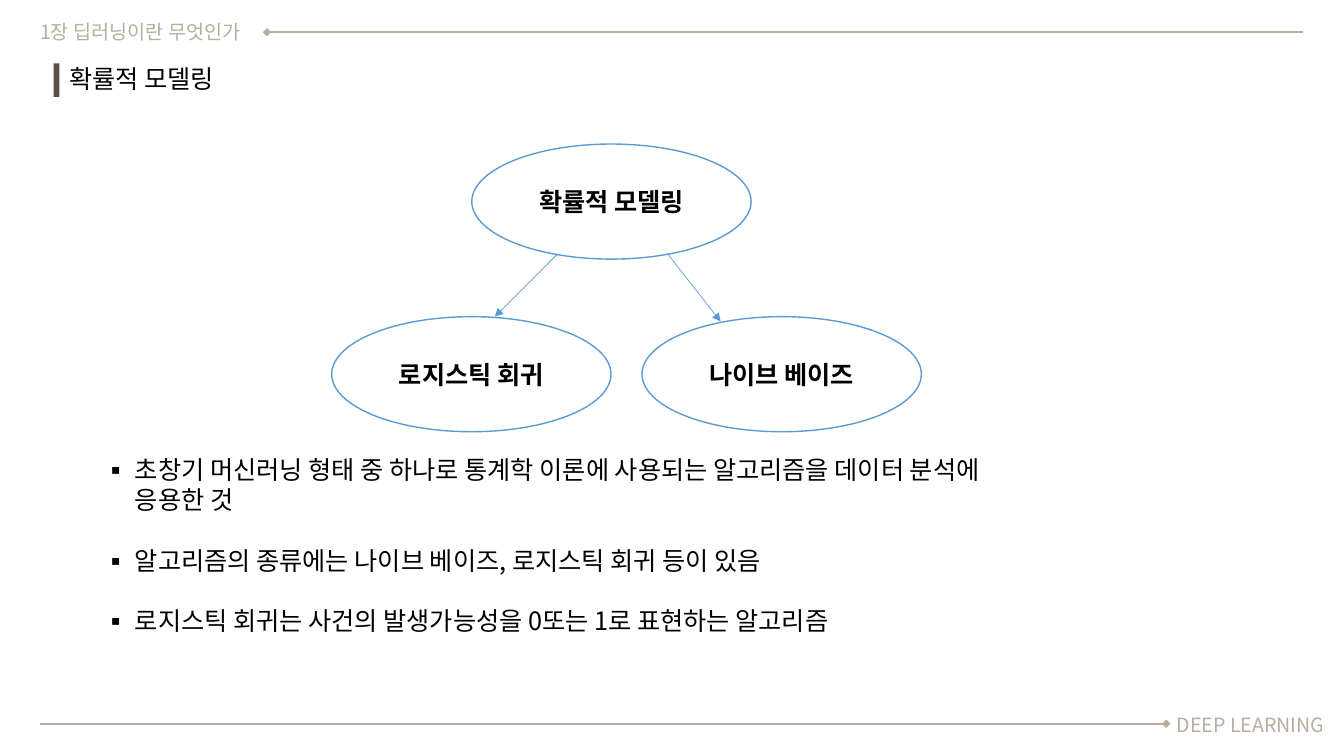
from pptx import Presentation
from pptx.dml.color import RGBColor
from pptx.enum.shapes import MSO_CONNECTOR, MSO_SHAPE
from pptx.enum.text import MSO_ANCHOR, MSO_AUTO_SIZE, PP_ALIGN
from pptx.oxml.ns import qn
from pptx.util import Cm, Pt
from lxml.etree import SubElement

FONT = "Noto Sans CJK KR"
COLORS = {
    "beige": "B7AE9D",
    "olive": "575141",
    "blue": "5B9BD5",
    "black": "000000",
    "white": "FFFFFF",
}
OVAL_WIDTH, OVAL_HEIGHT = 7.04, 2.9
BULLET_INDENT = 0.79
BULLETS = [
    "초창기 머신러닝 형태 중 하나로 통계학 이론에 사용되는 알고리즘을 데이터 분석에 응용한 것",
    "알고리즘의 종류에는 나이브 베이즈, 로지스틱 회귀 등이 있음",
    "로지스틱 회귀는 사건의 발생가능성을 0또는 1로 표현하는 알고리즘",
]


def color(name):
    return RGBColor.from_string(COLORS[name])


def write(para, text, size=18, ink="black", bold=False, align=PP_ALIGN.LEFT):
    para.alignment = align
    span = para.add_run()
    span.text = text
    span.font.name = FONT
    span.font.size = Pt(size)
    span.font.bold = bold
    span.font.color.rgb = color(ink)
    SubElement(span.font._element, qn("a:ea"), typeface=FONT)


def add_text(shapes, left, top, width, height, text, **style):
    box = shapes.add_textbox(Cm(left), Cm(top), Cm(width), Cm(height))
    frame = box.text_frame
    frame.word_wrap = False
    frame.auto_size = MSO_AUTO_SIZE.SHAPE_TO_FIT_TEXT
    write(frame.paragraphs[0], text, **style)


def add_shape(shapes, kind, left, top, width, height, fill, outline=None):
    shape = shapes.add_shape(kind, Cm(left), Cm(top), Cm(width), Cm(height))
    shape.shadow.inherit = False
    shape.fill.solid()
    shape.fill.fore_color.rgb = color(fill)
    if outline:
        shape.line.color.rgb = color(outline)
        shape.line.width = Pt(1)
    else:
        shape.line.fill.background()
    return shape


def add_oval(page, left, top, text):
    oval = add_shape(page.shapes, MSO_SHAPE.OVAL, left, top,
                     OVAL_WIDTH, OVAL_HEIGHT, "white", "blue")
    oval.text_frame.vertical_anchor = MSO_ANCHOR.MIDDLE
    write(oval.text_frame.paragraphs[0], text, bold=True, align=PP_ALIGN.CENTER)


def add_line(page, start, end, ink, weight, **ends):
    """Draw a line; ends maps headEnd or tailEnd to an arrowhead type."""
    line = page.shapes.add_connector(
        MSO_CONNECTOR.STRAIGHT, *map(Cm, start), *map(Cm, end))
    line.line.color.rgb = color(ink)
    line.line.width = Pt(weight)
    outline = line.line._get_or_add_ln()
    for end_name, kind in ends.items():
        SubElement(outline, qn(f"a:{end_name}"), type=kind)
    SubElement(line._element.spPr, qn("a:effectLst"))


def add_bullets(page, left, top, width, height, items):
    box = page.shapes.add_textbox(Cm(left), Cm(top), Cm(width), Cm(height))
    frame = box.text_frame
    frame.word_wrap = True
    frame.auto_size = MSO_AUTO_SIZE.SHAPE_TO_FIT_TEXT
    for index, item in enumerate(items):
        para = frame.add_paragraph() if index else frame.paragraphs[0]
        if index:
            para.space_before = Pt(21.6)
        write(para, item)
        props = para._p.get_or_add_pPr()
        props.set("marL", str(Cm(BULLET_INDENT)))
        props.set("indent", str(-Cm(BULLET_INDENT)))
        SubElement(props, qn("a:buFont"), typeface=FONT)
        SubElement(props, qn("a:buChar"), char="▪")


def main():
    deck = Presentation()
    deck.slide_width, deck.slide_height = Cm(33.87), Cm(19.05)
    page = deck.slides.add_slide(deck.slide_layouts[6])

    # Header and footer
    add_line(page, (6.73, 0.81), (32.84, 0.81), "beige", 1.25, headEnd="diamond")
    add_line(page, (1.02, 18.24), (29.39, 18.24), "beige", 1.25, tailEnd="diamond")
    add_text(page.shapes, 0.76, 0.38, 5.97, 0.86, "1장 딥러닝이란 무엇인가",
             size=14, ink="beige")
    add_text(page.shapes, 29.26, 17.83, 4.52, 0.84, "DEEP LEARNING",
             size=14, ink="beige", align=PP_ALIGN.CENTER)

    # Section title with its marker
    title = page.shapes.add_group_shape()
    add_text(title.shapes, 1.5, 1.47, 4.6, 1.02, "확률적 모델링")
    add_shape(title.shapes, MSO_SHAPE.RECTANGLE, 1.35, 1.6, 0.15, 0.84, "olive")

    # Explanation
    add_bullets(page, 2.36, 11.33, 22.71, 4.88, BULLETS)

    # Model tree
    add_oval(page, 11.89, 3.63, "확률적 모델링")
    add_oval(page, 8.36, 7.98, "로지스틱 회귀")
    add_oval(page, 16.18, 7.98, "나이브 베이즈")
    add_line(page, (14.05, 6.4), (12.47, 7.98), "blue", 0.5, tailEnd="triangle")
    add_line(page, (16.81, 6.38), (18.16, 8.1), "blue", 0.5, tailEnd="triangle")

    deck.save("out.pptx")


if __name__ == "__main__":
    main()
